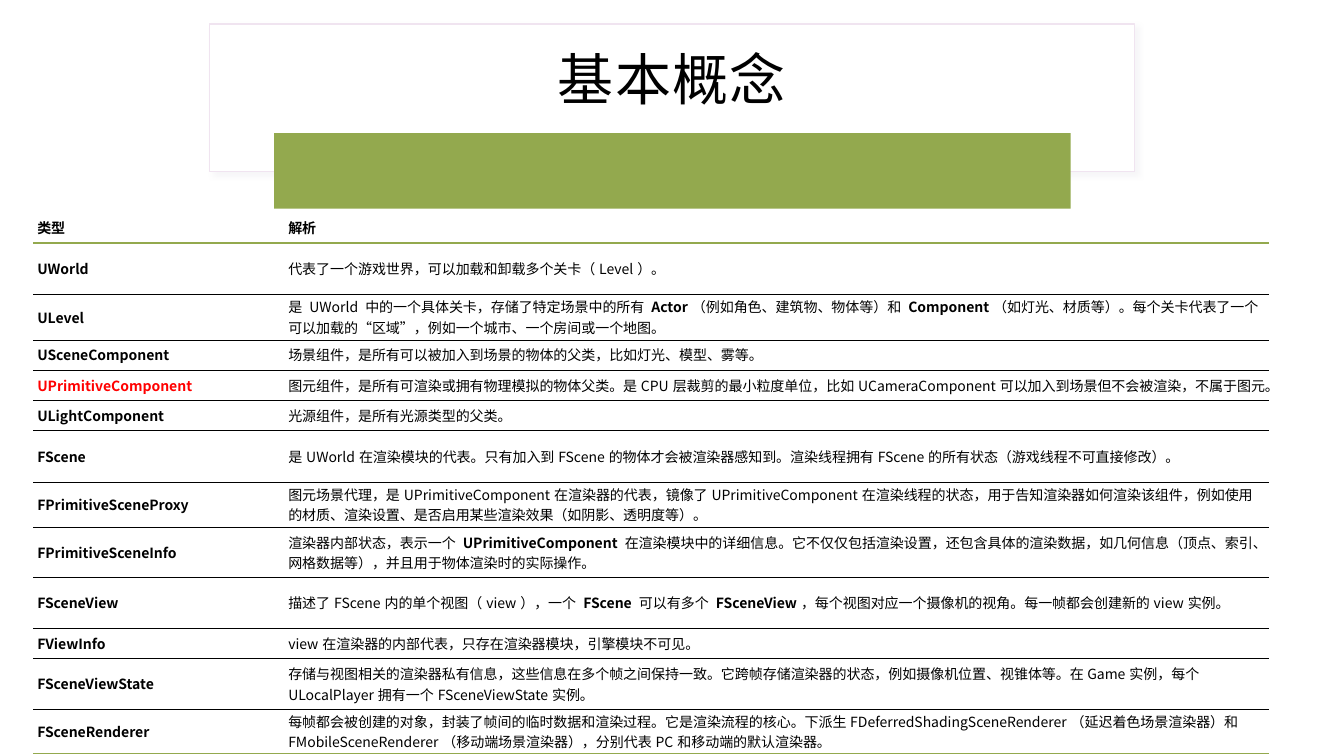
from pptx import Presentation
from pptx.dml.color import RGBColor
from pptx.enum.shapes import MSO_SHAPE
from pptx.enum.text import MSO_ANCHOR, PP_ALIGN
from pptx.oxml import parse_xml
from pptx.oxml.ns import nsdecls, qn
from pptx.util import Inches, Pt

RECTANGLE, ROUNDED = MSO_SHAPE.RECTANGLE, MSO_SHAPE.ROUNDED_RECTANGLE
MIDDLE, CENTER = MSO_ANCHOR.MIDDLE, PP_ALIGN.CENTER

SLIDE_SIZE = (13.33, 7.5)
FONT = "Noto Sans CJK SC"
BLACK = RGBColor(0x00, 0x00, 0x00)
WHITE = RGBColor(0xFF, 0xFF, 0xFF)
RED = RGBColor(0xFF, 0x00, 0x00)
GREEN = RGBColor(0x93, 0xA9, 0x4E)
PALE_PINK = RGBColor(0xF0, 0xE4, 0xF0)
SHADOW = RGBColor(0xBE, 0xBC, 0xCA)
NO_STYLE = "{2D5ABB26-0587-4C30-8999-92F81FD0307C}"

# Content: row height, type, explanation pieces (every second piece is bold)
TITLE = "基本概念"
HEADER = ("类型", "解析")
HEADER_HEIGHT = 0.3
COLUMN_WIDTHS = (2.49, 9.77)
HIGHLIGHTED = "UPrimitiveComponent"
CONCEPTS = [
    (0.51, "UWorld", ["代表了一个游戏世界，可以加载和卸载多个关卡（Level）。"]),
    (0.45, "ULevel", [
        "是 UWorld 中的一个具体关卡，存储了特定场景中的所有 ", "Actor",
        "（例如角色、建筑物、物体等）和 ", "Component",
        "（如灯光、材质等）。每个关卡代表了一个可以加载的“区域”，"
        "例如一个城市、一个房间或一个地图。"]),
    (0.3, "USceneComponent", [
        "场景组件，是所有可以被加入到场景的物体的父类，比如灯光、模型、雾等。"]),
    (0.3, "UPrimitiveComponent", [
        "图元组件，是所有可渲染或拥有物理模拟的物体父类。是CPU层裁剪的最小粒度单位，"
        "比如UCameraComponent可以加入到场景但不会被渲染，不属于图元。"]),
    (0.3, "ULightComponent", ["光源组件，是所有光源类型的父类。"]),
    (0.51, "FScene", [
        "是UWorld在渲染模块的代表。只有加入到FScene的物体才会被渲染器感知到。"
        "渲染线程拥有FScene的所有状态（游戏线程不可直接修改）。"]),
    (0.45, "FPrimitiveSceneProxy", [
        "图元场景代理，是UPrimitiveComponent在渲染器的代表，"
        "镜像了UPrimitiveComponent在渲染线程的状态，用于告知渲染器如何渲染该组件，"
        "例如使用的材质、渲染设置、是否启用某些渲染效果（如阴影、透明度等）。"]),
    (0.5, "FPrimitiveSceneInfo", [
        "渲染器内部状态，表示一个 ", "UPrimitiveComponent ",
        "在渲染模块中的详细信息。它不仅仅包括渲染设置，还包含具体的渲染数据，"
        "如几何信息（顶点、索引、网格数据等），并且用于物体渲染时的实际操作。"]),
    (0.5, "FSceneView", [
        "描述了FScene内的单个视图（view），一个 ", "FScene", " 可以有多个 ", "FSceneView",
        "，每个视图对应一个摄像机的视角。每一帧都会创建新的view实例。"]),
    (0.3, "FViewInfo", ["view在渲染器的内部代表，只存在渲染器模块，引擎模块不可见。"]),
    (0.51, "FSceneViewState", [
        "存储与视图相关的渲染器私有信息，这些信息在多个帧之间保持一致。"
        "它跨帧存储渲染器的状态，例如摄像机位置、视锥体等。"
        "在Game实例，每个ULocalPlayer拥有一个FSceneViewState实例。"]),
    (0.44, "FSceneRenderer", [
        "每帧都会被创建的对象，封装了帧间的临时数据和渲染过程。它是渲染流程的核心。"
        "下派生FDeferredShadingSceneRenderer（延迟着色场景渲染器）和"
        "FMobileSceneRenderer（移动端场景渲染器），分别代表PC和移动端的默认渲染器。"]),
]


def add_box(slide, kind, box, fill, line=None):
    shape = slide.shapes.add_shape(kind, *map(Inches, box))
    shape.shadow.inherit = False
    shape.fill.solid()
    shape.fill.fore_color.rgb = fill
    if line is None:
        shape.line.fill.background()
    else:
        shape.line.color.rgb = line
        shape.line.width = Pt(1)
    return shape


def add_shadow(shape):
    effects = shape._element.spPr.find(qn("a:effectLst"))
    effects.append(parse_xml(
        f'<a:outerShdw {nsdecls("a")} blurRad="{Pt(4)}" dist="{Pt(3)}" dir="2700000" '
        f'algn="tl" rotWithShape="0"><a:srgbClr val="{SHADOW}">'
        '<a:alpha val="12000"/></a:srgbClr></a:outerShdw>'))


def add_run(paragraph, text, size, color=BLACK, bold=False):
    run = paragraph.add_run()
    run.text = text
    run.font.size = Pt(size)
    run.font.bold = bold
    run.font.color.rgb = color
    run.font.name = FONT
    properties = run.font._element
    properties.find(qn("a:latin")).addnext(
        parse_xml(f'<a:ea {nsdecls("a")} typeface="{FONT}"/>'))
    return properties


def set_borders(cell, top, bottom):
    """Each border is (colour, points), or None for no line."""
    properties = cell._tc.get_or_add_tcPr()
    for side, border in (("L", None), ("R", None), ("T", top), ("B", bottom)):
        if border is None:
            width, paint = 0, "<a:noFill/>"
        else:
            color, points = border
            width = Pt(points)
            paint = f'<a:solidFill><a:srgbClr val="{color}"/></a:solidFill>'
        properties.append(parse_xml(
            f'<a:ln{side} {nsdecls("a")} w="{width}">{paint}</a:ln{side}>'))


def fill_cell(cell, pieces, color, first_bold, top, bottom):
    set_borders(cell, top, bottom)
    cell.fill.background()
    cell.vertical_anchor = MIDDLE
    cell.margin_left = cell.margin_right = Inches(0.04)
    cell.margin_top = cell.margin_bottom = Inches(0.02)
    paragraph = cell.text_frame.paragraphs[0]
    for index, piece in enumerate(pieces):
        add_run(paragraph, piece, 10, color, first_bold or index % 2 == 1)


def add_title(slide):
    frame = add_box(slide, RECTANGLE, (2.08, 0.24, 9.17, 1.46), WHITE, PALE_PINK)
    add_shadow(frame)
    text_box = slide.shapes.add_textbox(*map(Inches, (2.3, 0.34, 8.73, 0.95)))
    text_frame = text_box.text_frame
    text_frame.word_wrap = True
    text_frame.vertical_anchor = MIDDLE
    paragraph = text_frame.paragraphs[0]
    paragraph.alignment = CENTER
    paragraph.line_spacing = 0.9
    add_run(paragraph, TITLE, 40).set("spc", "100")
    band = add_box(slide, ROUNDED, (2.72, 1.32, 7.9, 0.75), GREEN)
    band.adjustments[0] = 0


def add_concept_table(slide):
    rows = [(HEADER_HEIGHT, HEADER[0], [HEADER[1]])] + CONCEPTS
    height = sum(row[0] for row in rows)
    table = slide.shapes.add_table(
        len(rows), len(COLUMN_WIDTHS), Inches(0.33), Inches(2.11),
        Inches(sum(COLUMN_WIDTHS)), Inches(height)).table
    table.first_row = table.horz_banding = False
    table._tbl.tblPr.find(qn("a:tableStyleId")).text = NO_STYLE
    for column, width in zip(table.columns, COLUMN_WIDTHS):
        column.width = Inches(width)

    # Rules: no line on top, green under the header and the last row
    thin = (BLACK, 0.25)
    rules = [None, (GREEN, 1.5)] + [thin] * (len(rows) - 2) + [(GREEN, 1)]
    for index, (row_height, name, pieces) in enumerate(rows):
        table.rows[index].height = Inches(row_height)
        top, bottom = rules[index:index + 2]
        name_color = RED if name == HIGHLIGHTED else BLACK
        fill_cell(table.cell(index, 0), [name], name_color, True, top, bottom)
        fill_cell(table.cell(index, 1), pieces, BLACK, index == 0, top, bottom)


def main():
    presentation = Presentation()
    presentation.slide_width, presentation.slide_height = map(Inches, SLIDE_SIZE)
    slide = presentation.slides.add_slide(presentation.slide_layouts[6])
    add_box(slide, RECTANGLE, (0, 0, *SLIDE_SIZE), WHITE)
    add_title(slide)
    add_concept_table(slide)
    presentation.save("out.pptx")


if __name__ == "__main__":
    main()
